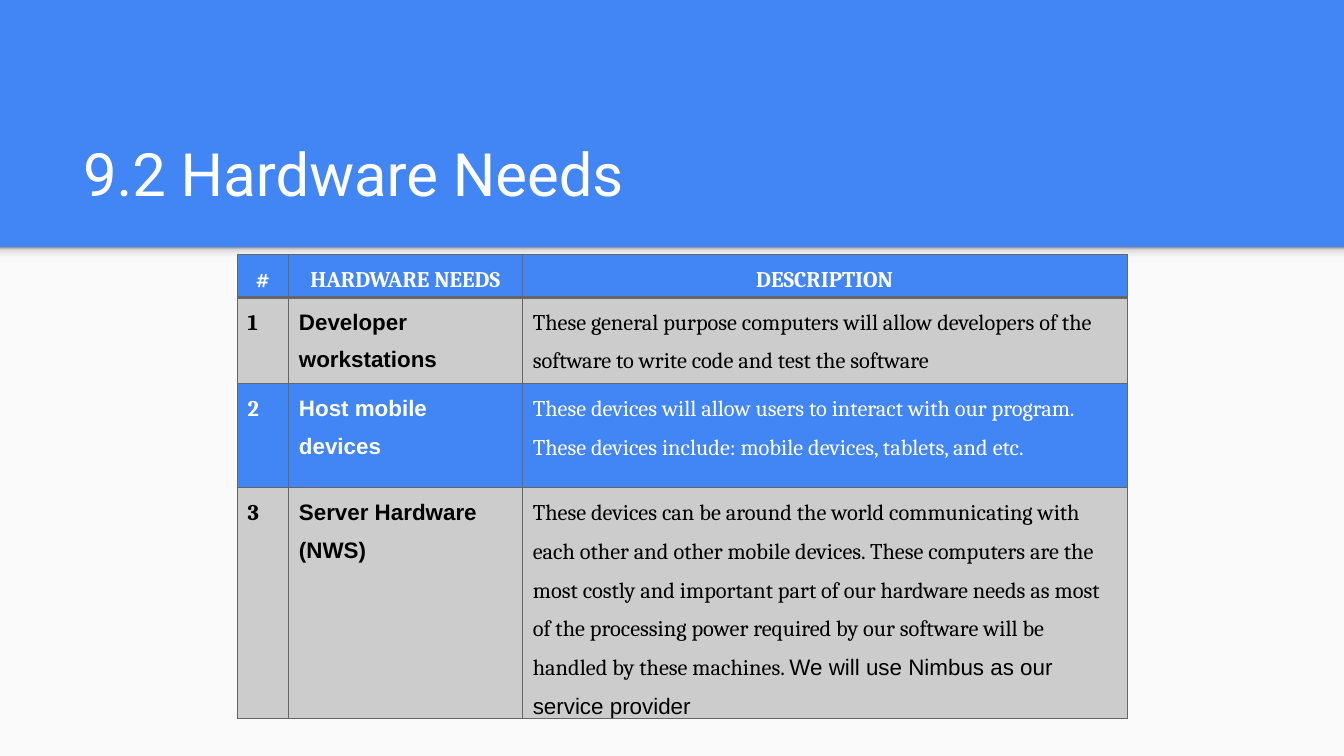
from lxml import etree
from copy import deepcopy
from pptx import Presentation
from pptx.dml.color import RGBColor
from pptx.enum.shapes import MSO_SHAPE
from pptx.enum.text import MSO_ANCHOR, PP_ALIGN
from pptx.oxml.ns import qn
from pptx.util import Cm, Pt

RECT = MSO_SHAPE.RECTANGLE
BOTTOM = MSO_ANCHOR.BOTTOM
LEFT, CENTER = PP_ALIGN.LEFT, PP_ALIGN.CENTER

TITLE = "9.2 Hardware Needs"
HEADERS = ["#", "HARDWARE NEEDS", "DESCRIPTION"]
NEEDS = [
    (["Developer workstations"],
     ["These general purpose computers will allow developers of the software to write code "
      "and test the software"]),
    (["Host mobile devices"],
     ["These devices will allow users to interact with our program. These devices include: "
      "mobile devices, tablets, and etc."]),
    (["Server Hardware", "(NWS)"],
     ["These devices can be around the world communicating with each other and other mobile "
      "devices. These computers are the most costly and important part of our hardware needs "
      "as most of the processing power required by our software will be handled by these "
      "machines. ",
      "We will use Nimbus as our service provider"]),
]

THEME = {
    "blue": "4285F4", "page": "FAFAFA", "grey": "CCCCCC", "border": "666666",
    "white": "FFFFFF", "black": "000000",
    "shadow": [(0, "F9F9F9"), (0.36, "F9F9F9"), (0.8, "DEDEDE"), (1, "999999")],
    "heading": "Roboto", "serif": "Cambria", "sans": "Arial",
    "title_size": 32, "cell_size": 12, "thin": 0.5, "thick": 1.5,
}
WIDTH, HEIGHT, BANNER = 25.4, 14.29, 4.67
COLS = [0.97, 4.42, 11.43]
ROWS = [0.81, 1.63, 1.97, 4.04]


def rgb(name):
    return RGBColor.from_string(THEME.get(name, name))


def add_rect(s, top, height):
    sp = s.shapes.add_shape(RECT, 0, Cm(top), Cm(WIDTH), Cm(height))
    sp.shadow.inherit = False
    sp.line.fill.background()
    return sp


def add_banner_shadow(s):
    sp = add_rect(s, BANNER, 0.3)
    sp.fill.gradient()
    sp.fill.gradient_angle = 90
    stops = sp._element.spPr.find(".//" + qn("a:gsLst"))
    for _ in THEME["shadow"][2:]:
        stops.append(deepcopy(stops[0]))
    for stop, (position, color) in zip(sp.fill.gradient_stops, THEME["shadow"]):
        stop.position = position
        stop.color.rgb = rgb(color)


def add_run(p, text, font, size, color, bold=False):
    r = p.add_run()
    r.text = text
    for key, value in {"name": font, "size": Pt(size), "bold": bold}.items():
        setattr(r.font, key, value)
    r.font.color.rgb = rgb(color)


def set_borders(cell, bottom):
    props = cell._tc.get_or_add_tcPr()
    widths = {"L": THEME["thin"], "R": THEME["thin"], "T": THEME["thin"], "B": bottom}
    for i, (side, width) in enumerate(widths.items()):
        ln = etree.Element(qn("a:ln" + side), w=str(Pt(width)))
        fill = etree.SubElement(ln, qn("a:solidFill"))
        etree.SubElement(fill, qn("a:srgbClr"), val=THEME["border"])
        props.insert(i, ln)


def fill_cell(cell, paragraphs, fill, color, align=LEFT, bottom=THEME["thin"]):
    margins = {"margin_left": 0.2, "margin_right": 0.2, "margin_top": 0, "margin_bottom": 0}
    for key, value in margins.items():
        setattr(cell, key, Cm(value))
    cell.fill.solid()
    cell.fill.fore_color.rgb = rgb(fill)
    set_borders(cell, bottom)
    tf = cell.text_frame
    for i, runs in enumerate(paragraphs):
        p = tf.add_paragraph() if i else tf.paragraphs[0]
        p.alignment, p.line_spacing = align, 1.5
        for text, font, bold in runs:
            add_run(p, text, THEME[font], THEME["cell_size"], color, bold)


def add_title(s):
    sp = s.shapes.title
    box = {"left": 1.32, "top": 2.06, "width": 22.83, "height": 2.13}
    for key, value in box.items():
        setattr(sp, key, Cm(value))
    tf = sp.text_frame
    margins = dict.fromkeys(["margin_left", "margin_right", "margin_top", "margin_bottom"], Cm(0.25))
    for key, value in {**margins, "vertical_anchor": BOTTOM, "word_wrap": True}.items():
        setattr(tf, key, value)
    p = tf.paragraphs[0]
    p.alignment = LEFT
    add_run(p, TITLE, THEME["heading"], THEME["title_size"], "white")


def add_needs_table(s):
    frame = s.shapes.add_table(len(ROWS), len(COLS), Cm(4.48), Cm(4.81),
                               Cm(sum(COLS)), Cm(sum(ROWS)))
    table = frame.table
    table.first_row = table.horz_banding = False
    for col, width in zip(table.columns, COLS):
        col.width = Cm(width)
    for row, height in zip(table.rows, ROWS):
        row.height = Cm(height)
    for c, text in enumerate(HEADERS):
        fill_cell(table.cell(0, c), [[(text, "serif", True)]], "blue", "white",
                  CENTER, THEME["thick"])
    for n, (names, description) in enumerate(NEEDS, 1):
        fill, color = ("grey", "black") if n % 2 else ("blue", "white")
        contents = [
            [[(str(n), "serif", True)]],
            [[(name, "sans", True)] for name in names],
            [[(text, font, False) for text, font in zip(description, ["serif", "sans"])]],
        ]
        for c, paragraphs in enumerate(contents):
            fill_cell(table.cell(n, c), paragraphs, fill, color)


def main():
    prs = Presentation()
    prs.slide_width, prs.slide_height = Cm(WIDTH), Cm(HEIGHT)
    s = prs.slides.add_slide(prs.slide_layouts[5])
    s.background.fill.solid()
    s.background.fill.fore_color.rgb = rgb("blue")
    page = add_rect(s, BANNER, HEIGHT - BANNER)
    page.fill.solid()
    page.fill.fore_color.rgb = rgb("page")
    add_banner_shadow(s)
    add_title(s)
    add_needs_table(s)
    prs.save("out.pptx")


if __name__ == "__main__":
    main()
